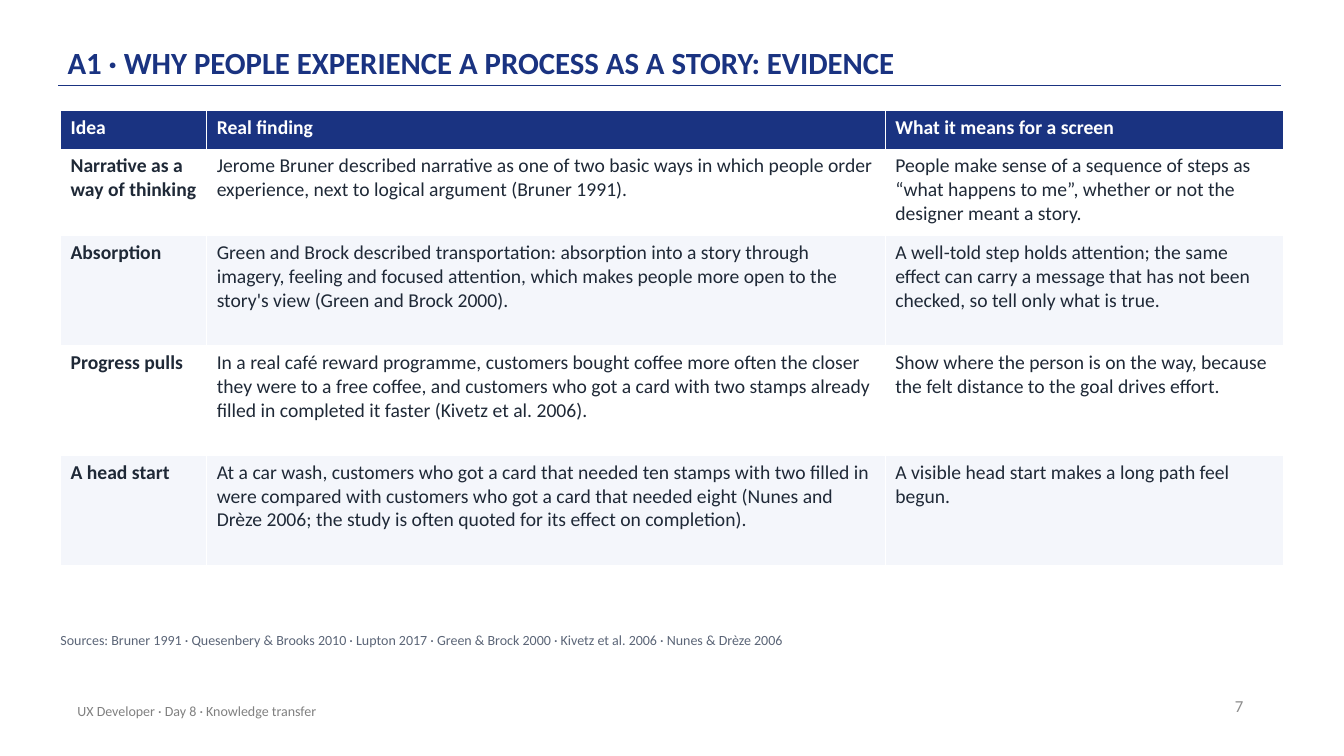
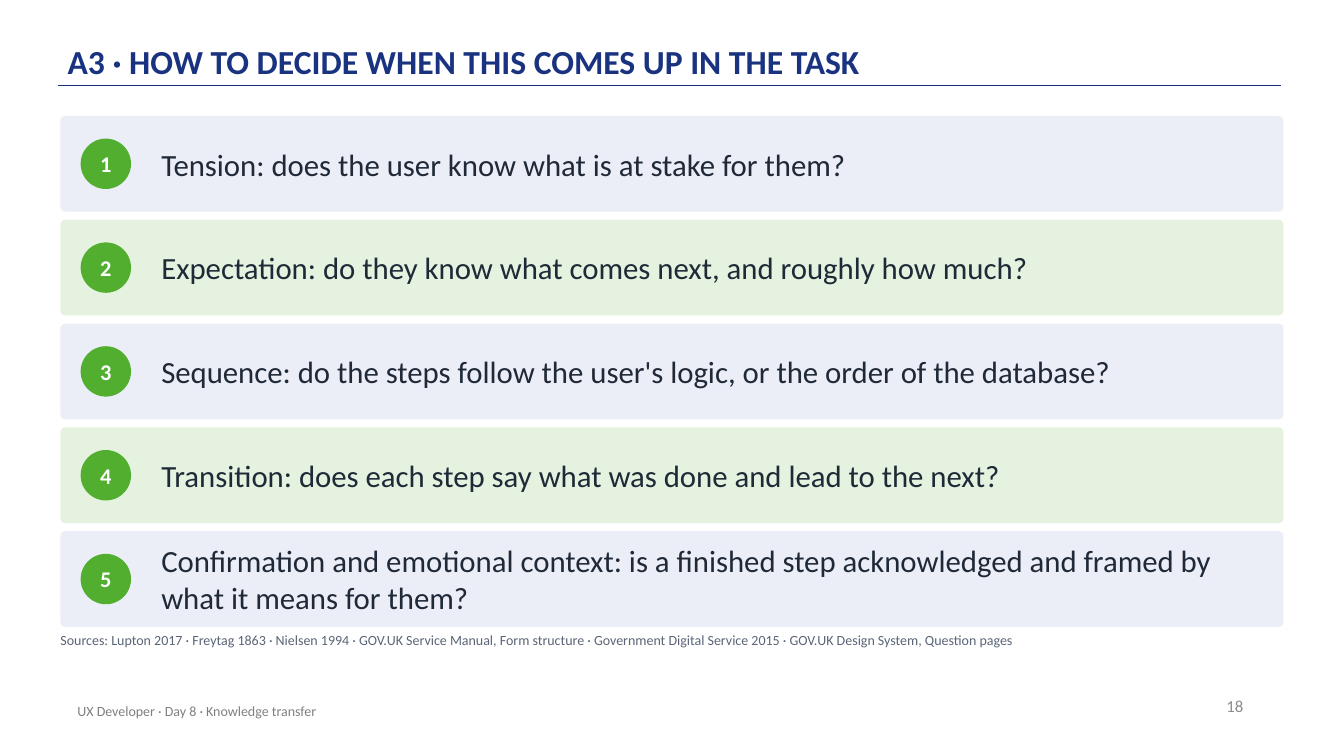
from dataclasses import dataclass

from lxml.etree import SubElement
from pptx import Presentation
from pptx.dml.color import RGBColor
from pptx.enum.shapes import MSO_CONNECTOR as Connector, MSO_SHAPE as Shape
from pptx.enum.text import MSO_ANCHOR as Anchor, PP_ALIGN as Align
from pptx.oxml.ns import qn
from pptx.util import Inches, Pt


@dataclass(frozen=True)
class Theme:
    font: str = "Calibri"
    navy: str = "1A3381"
    green: str = "51AE2F"
    ink: str = "1F2937"
    white: str = "FFFFFF"
    source_grey: str = "5B6577"
    footer_grey: str = "808080"
    number_grey: str = "8C8C8C"
    row_fills: tuple = ("FFFFFF", "F4F6FB")
    card_fills: tuple = ("ECEEF7", "E5F2DF")
    title_size: int = 24
    long_title_size: int = 22
    question_size: int = 22
    badge_size: int = 16
    table_size: int = 14
    number_size: int = 12
    small_size: int = 10


LEFT, WIDTH = 0.6, 12.13
FOOTER = "UX Developer · Day 8 · Knowledge transfer"

COLUMN_WIDTHS = (1.45, 6.73, 3.95)
ROW_HEIGHTS = (0.38, 0.86, 1.09, 1.09, 1.09)
EVIDENCE = (
    ("Idea", "Real finding", "What it means for a screen"),
    ("Narrative as a way of thinking",
     "Jerome Bruner described narrative as one of two basic ways in which people order "
     "experience, next to logical argument (Bruner 1991).",
     "People make sense of a sequence of steps as “what happens to me”, whether or not "
     "the designer meant a story."),
    ("Absorption",
     "Green and Brock described transportation: absorption into a story through imagery, "
     "feeling and focused attention, which makes people more open to the story's view "
     "(Green and Brock 2000).",
     "A well-told step holds attention; the same effect can carry a message that has not "
     "been checked, so tell only what is true."),
    ("Progress pulls",
     "In a real café reward programme, customers bought coffee more often the closer they "
     "were to a free coffee, and customers who got a card with two stamps already filled "
     "in completed it faster (Kivetz et al. 2006).",
     "Show where the person is on the way, because the felt distance to the goal drives "
     "effort."),
    ("A head start",
     "At a car wash, customers who got a card that needed ten stamps with two filled in "
     "were compared with customers who got a card that needed eight (Nunes and Drèze 2006; "
     "the study is often quoted for its effect on completion).",
     "A visible head start makes a long path feel begun."),
)

QUESTIONS = (
    "Tension: does the user know what is at stake for them?",
    "Expectation: do they know what comes next, and roughly how much?",
    "Sequence: do the steps follow the user's logic, or the order of the database?",
    "Transition: does each step say what was done and lead to the next?",
    "Confirmation and emotional context: is a finished step acknowledged and framed by "
    "what it means for them?",
)


class Deck:
    def __init__(self, theme):
        self.theme = theme
        self.presentation = Presentation()
        self.presentation.slide_width = Inches(13.33)
        self.presentation.slide_height = Inches(7.5)
        self.slide = None

    def set_text(self, text_frame, text, size, color, bold=False, align=Align.LEFT):
        text_frame.word_wrap = True
        text_frame.text = text
        paragraph = text_frame.paragraphs[0]
        paragraph.alignment = align
        font = paragraph.runs[0].font
        font.name, font.size, font.bold = self.theme.font, Pt(size), bold
        font.color.rgb = RGBColor.from_string(color)
        return paragraph

    def set_margins(self, text_frame, horizontal=0, vertical=0):
        text_frame.margin_left = text_frame.margin_right = Inches(horizontal)
        text_frame.margin_top = text_frame.margin_bottom = Inches(vertical)

    def add_slide(self, title, number, sources, title_size):
        """Start a slide with its title, rule, footer and sources."""
        theme = self.theme
        self.slide = self.presentation.slides.add_slide(self.presentation.slide_layouts[5])
        self.title(title, title_size)
        self.rule()
        self.text(9.43, 6.8, 3, 0.4, str(number), theme.number_size, theme.number_grey,
                  align=Align.RIGHT, margins=(0.1, 0.05))
        self.text(LEFT + 0.07, 6.85, 6.7, 0.4, FOOTER, theme.small_size, theme.footer_grey,
                  margins=(0.1, 0.05))
        self.text(LEFT, 6.27, 12.1, 0.3, "Sources: " + sources, theme.small_size,
                  theme.source_grey, anchor=Anchor.TOP)

    def title(self, text, size):
        shape = self.slide.shapes.title
        shape.left, shape.top = Inches(0.67), Inches(0.12)
        shape.width, shape.height = Inches(11), Inches(0.72)
        frame = shape.text_frame
        frame.vertical_anchor = Anchor.BOTTOM
        self.set_margins(frame, vertical=0.03)
        paragraph = self.set_text(frame, text, size, self.theme.navy, bold=True)
        paragraph.line_spacing = 0.9

    def rule(self):
        line = self.slide.shapes.add_connector(
            Connector.STRAIGHT, Inches(0.58), Inches(0.85), Inches(12.71), Inches(0.85))
        line.line.color.rgb = RGBColor.from_string(self.theme.navy)
        line.line.width = Pt(1)
        SubElement(line._element.spPr, qn("a:effectLst"))

    def text(self, left, top, width, height, text, size, color, align=Align.LEFT,
             anchor=Anchor.MIDDLE, margins=(0, 0)):
        box = self.slide.shapes.add_textbox(
            Inches(left), Inches(top), Inches(width), Inches(height))
        box.text_frame.vertical_anchor = anchor
        self.set_margins(box.text_frame, *margins)
        self.set_text(box.text_frame, text, size, color, align=align)

    def shape(self, kind, left, top, width, height, fill):
        shape = self.slide.shapes.add_shape(
            kind, Inches(left), Inches(top), Inches(width), Inches(height))
        shape.shadow.inherit = False
        shape.fill.solid()
        shape.fill.fore_color.rgb = RGBColor.from_string(fill)
        shape.line.fill.background()
        return shape

    def badge(self, left, top, size, number):
        circle = self.shape(Shape.OVAL, left, top, size, size, self.theme.green)
        circle.text_frame.vertical_anchor = Anchor.MIDDLE
        self.set_margins(circle.text_frame)
        self.set_text(circle.text_frame, str(number), self.theme.badge_size,
                      self.theme.white, bold=True, align=Align.CENTER)

    def question_cards(self, questions, top=1.15, height=0.95, gap=0.08, badge_size=0.5):
        theme = self.theme
        for index, question in enumerate(questions):
            card_top = top + index * (height + gap)
            fill = theme.card_fills[index % len(theme.card_fills)]
            card = self.shape(Shape.ROUNDED_RECTANGLE, LEFT, card_top, WIDTH, height, fill)
            card.adjustments[0] = 0.05
            self.badge(LEFT + 0.2, card_top + (height - badge_size) / 2, badge_size, index + 1)
            self.text(LEFT + 1, card_top, WIDTH - 1.2, height, question,
                      theme.question_size, theme.ink)

    def table(self, rows, column_widths, row_heights, top=1.1):
        theme = self.theme
        table = self.slide.shapes.add_table(
            len(rows), len(column_widths), Inches(LEFT), Inches(top),
            Inches(sum(column_widths)), Inches(sum(row_heights))).table
        table.horz_banding = False
        for column, width in zip(table.columns, column_widths):
            column.width = Inches(width)
        for row_index, (row, height) in enumerate(zip(table.rows, row_heights)):
            row.height = Inches(height)
            header = row_index == 0
            fill = theme.navy if header else theme.row_fills[(row_index - 1) % 2]
            for column_index, cell in enumerate(row.cells):
                cell.fill.solid()
                cell.fill.fore_color.rgb = RGBColor.from_string(fill)
                self.set_text(cell.text_frame, rows[row_index][column_index],
                              theme.table_size, theme.white if header else theme.ink,
                              bold=header or column_index == 0)


def main():
    theme = Theme()
    deck = Deck(theme)

    deck.add_slide(
        "A1 · WHY PEOPLE EXPERIENCE A PROCESS AS A STORY: EVIDENCE", 7,
        "Bruner 1991 · Quesenbery & Brooks 2010 · Lupton 2017 · Green & Brock 2000 · "
        "Kivetz et al. 2006 · Nunes & Drèze 2006",
        theme.long_title_size)
    deck.table(EVIDENCE, COLUMN_WIDTHS, ROW_HEIGHTS)

    deck.add_slide(
        "A3 · HOW TO DECIDE WHEN THIS COMES UP IN THE TASK", 18,
        "Lupton 2017 · Freytag 1863 · Nielsen 1994 · GOV.UK Service Manual, Form structure · "
        "Government Digital Service 2015 · GOV.UK Design System, Question pages",
        theme.title_size)
    deck.question_cards(QUESTIONS)

    deck.presentation.save("out.pptx")


if __name__ == "__main__":
    main()
